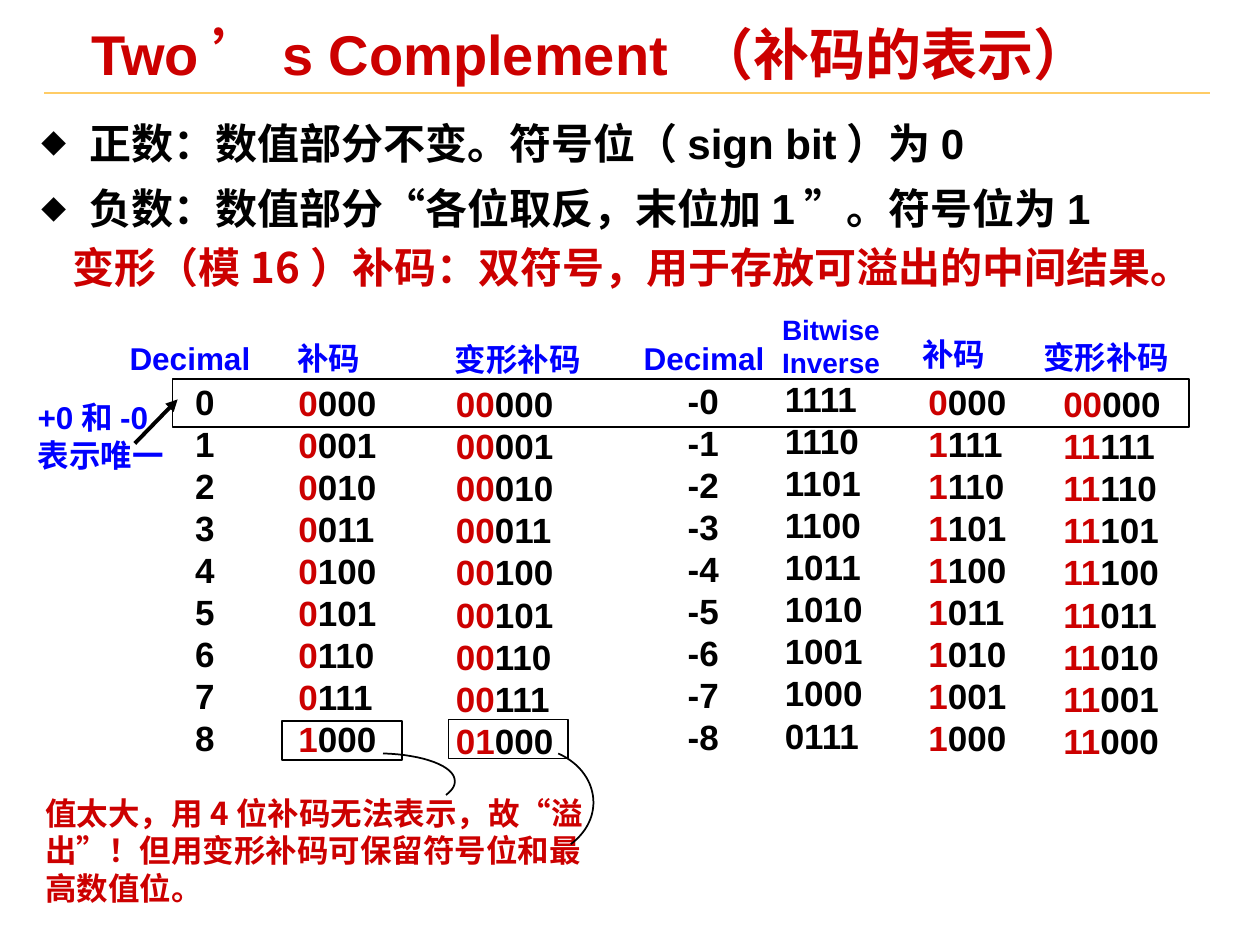
from dataclasses import dataclass

from lxml import etree
from pptx import Presentation
from pptx.dml.color import RGBColor
from pptx.enum.dml import MSO_LINE
from pptx.enum.shapes import MSO_CONNECTOR, MSO_SHAPE
from pptx.enum.text import MSO_ANCHOR, MSO_AUTO_SIZE, PP_ALIGN
from pptx.oxml.ns import qn
from pptx.util import Inches, Pt

STRAIGHT, RECTANGLE = MSO_CONNECTOR.STRAIGHT, MSO_SHAPE.RECTANGLE
SOLID, NO_FIT = MSO_LINE.SOLID, MSO_AUTO_SIZE.NONE
TOP, MIDDLE = MSO_ANCHOR.TOP, MSO_ANCHOR.MIDDLE
LEFT, CENTER = PP_ALIGN.LEFT, PP_ALIGN.CENTER

WIDTH, HEIGHT = Inches(10), Inches(7.5)
COLUMNS, ROWS = 100, 75
RED, BLUE, BLACK, GOLD = "CC0000", "0000FF", "000000", "FFCC66"
LATIN, CHINESE = "Arial", "Noto Sans CJK SC"
VALUES = range(9)
LINE_HEIGHT = 1.2


@dataclass
class Label:
    lines: list[str]
    box: tuple[float, float, float, float]
    size: int
    color: str
    font: str = LATIN
    align: PP_ALIGN = LEFT
    wrap: bool = True


@dataclass
class Column:
    heading: Label
    left: float
    top: float
    width: float
    codes: list[str]
    sign_digits: int = 0


def x(columns: float) -> int:
    return round(WIDTH * columns / COLUMNS)


def y(rows: float) -> int:
    return round(HEIGHT * rows / ROWS)


def place(box: tuple) -> tuple:
    left, top, width, height = box
    return x(left), y(top), x(width), y(height)


def rgb(color: str) -> RGBColor:
    return RGBColor.from_string(color)


def apply(target, formats: dict) -> None:
    for name, value in formats.items():
        setattr(target, name, value)


def add_run(paragraph, text: str, size: float, color: str, font: str = LATIN) -> None:
    run = paragraph.add_run()
    run.text = text
    apply(run.font, {"size": Pt(size), "bold": True, "name": font})
    run.font.color.rgb = rgb(color)
    etree.SubElement(run.font._element, qn("a:ea"), typeface=CHINESE)


def frame_of(shape, side: float, edge: float, anchor=TOP, wrap: bool = True):
    frame = shape.text_frame
    apply(frame, {
        "margin_left": x(side), "margin_right": x(side),
        "margin_top": y(edge), "margin_bottom": y(edge),
        "vertical_anchor": anchor, "word_wrap": wrap, "auto_size": NO_FIT,
    })
    return frame


def next_paragraph(frame, index: int):
    return frame.add_paragraph() if index else frame.paragraphs[0]


def add_label(slide, label: Label, sign_digits: int = 0) -> None:
    """Add a text box whose leading sign digits are red."""
    frame = frame_of(slide.shapes.add_textbox(*place(label.box)), 1, 0.5, wrap=label.wrap)
    for index, line in enumerate(label.lines):
        paragraph = next_paragraph(frame, index)
        apply(paragraph, {"alignment": label.align, "line_spacing": Pt(label.size * LINE_HEIGHT)})
        for text, color in ((line[:sign_digits], RED), (line[sign_digits:], label.color)):
            if text:
                add_run(paragraph, text, label.size, color, label.font)


def add_column(slide, column: Column) -> None:
    add_label(slide, column.heading)
    box = (column.left, column.top, column.width, 31)
    add_label(slide, Label(column.codes, box, 20, BLACK, wrap=False), column.sign_digits)


def style_line(line, color: str, width: float) -> None:
    apply(line, {"width": Pt(width), "dash_style": SOLID})
    line.color.rgb = rgb(color)


def add_frame(slide, box: tuple) -> None:
    shape = slide.shapes.add_shape(RECTANGLE, *place(box))
    shape.shadow.inherit = False
    shape.fill.background()
    style_line(shape.line, BLACK, 1)


def add_line(slide, start: tuple, end: tuple, color: str, width: float, arrow: bool = False) -> None:
    connector = slide.shapes.add_connector(STRAIGHT, x(start[0]), y(start[1]), x(end[0]), y(end[1]))
    style_line(connector.line, color, width)
    if arrow:
        etree.SubElement(connector.line._get_or_add_ln(), qn("a:tailEnd"), type="triangle")
    etree.SubElement(connector._element.spPr, qn("a:effectLst"))


def bezier(points: list, share: float) -> tuple:
    """Return the point at a share of the way along a Bézier curve."""
    while len(points) > 1:
        points = [tuple(a + (b - a) * share for a, b in zip(p, q))
                  for p, q in zip(points, points[1:])]
    return points[0]


def add_curve(slide, points: list, steps: int = 16) -> None:
    """Draw cubic segments that share their end points."""
    vertices = [bezier(points[first:first + 4], step / steps)
                for first in range(0, len(points) - 1, 3) for step in range(1, steps + 1)]
    builder = slide.shapes.build_freeform(x(points[0][0]), y(points[0][1]))
    builder.add_line_segments([(x(a), y(b)) for a, b in vertices], close=False)
    shape = builder.convert_to_shape()
    shape.shadow.inherit = False
    shape.fill.background()
    style_line(shape.line, BLACK, 1)


def fill_title(title) -> None:
    apply(title, dict(zip(("left", "top", "width", "height"), place((5.3, 2, 89.6, 5.2)))))
    frame = frame_of(title, 0.7, 0.3, MIDDLE)
    frame.margin_left = x(1.95)
    paragraph = frame.paragraphs[0]
    apply(paragraph, {"alignment": LEFT, "line_spacing": 0.87})
    add_run(paragraph, "Two’s Complement （补码的表示）", 32, RED)


def fill_rules(body) -> None:
    apply(body, dict(zip(("left", "top", "width", "height"), place((2.6, 8.2, 94, 10.6)))))
    frame = frame_of(body, 0.7, 0.3)
    rules = ["正数：数值部分不变。符号位（sign bit）为0",
             "负数：数值部分“各位取反，末位加1”。符号位为1"]
    for index, rule in enumerate(rules):
        paragraph = next_paragraph(frame, index)
        properties = paragraph._p.get_or_add_pPr()
        apply_indent = {"marL": str(x(3.8)), "indent": str(-x(3.8))}
        for name, value in apply_indent.items():
            properties.set(name, value)
        color = etree.SubElement(properties, qn("a:buClr"))
        etree.SubElement(color, qn("a:srgbClr"), val=BLACK)
        etree.SubElement(properties, qn("a:buSzPct"), val="60000")
        etree.SubElement(properties, qn("a:buFont"), typeface=CHINESE)
        etree.SubElement(properties, qn("a:buChar"), char="◆")
        apply(paragraph, {"line_spacing": 1.2, "space_before": Pt(3 if index else 0)})
        add_run(paragraph, rule, 24, BLACK)


def heading(text: str, left: float, top: float, width: float) -> Label:
    return Label([text], (left, top, width, 4), 18, BLUE, wrap=False)


def main() -> None:
    presentation = Presentation()
    apply(presentation, {"slide_width": WIDTH, "slide_height": HEIGHT})
    slide = presentation.slides.add_slide(presentation.slide_layouts[1])
    add_line(slide, (3.5, 7.4), (96, 7.4), GOLD, 1)
    fill_title(slide.shapes.title)
    fill_rules(slide.placeholders[1])

    inverse = Label(["Bitwise", "Inverse"], (60.4, 24.3, 11.1, 6.3), 16, BLUE, align=CENTER)
    columns = [
        Column(heading("Decimal", 9.3, 26.4, 13.3), 14.5, 29.7, 4.2, [f"{n}" for n in VALUES]),
        Column(heading("补码", 22.6, 26.4, 7), 22.7, 29.8, 8.2, [f"{n:04b}" for n in VALUES], 1),
        Column(heading("变形补码", 35.1, 26.5, 12), 35.2, 29.9, 10.5, [f"{n:05b}" for n in VALUES], 2),
        Column(heading("Decimal", 50.1, 26.4, 13.3), 53.6, 29.6, 7.2, [f"-{n}" for n in VALUES]),
        Column(inverse, 61.3, 29.5, 8.2, [f"{15 - n:04b}" for n in VALUES]),
        Column(heading("补码", 72.2, 26.1, 7), 72.7, 29.7, 8.2, [f"{-n % 16:04b}" for n in VALUES], 1),
        Column(heading("变形补码", 81.8, 26.3, 12), 83.4, 29.9, 11.5, [f"{-n % 32:05b}" for n in VALUES], 2),
    ]
    for column in columns:
        add_column(slide, column)

    notes = [
        Label(["变形（模16）补码：双符号，用于存放可溢出的中间结果。"], (4.8, 18.7, 91.4, 5), 24, RED, CHINESE),
        Label(["+0和-0表示唯一"], (2, 31.1, 12.1, 7), 18, BLUE),
        Label(["值太大，用4位补码无法表示，故“溢出”！但用变形补码可保留符号位和最高数值位。"],
              (2.6, 62.5, 44.9, 10), 18, RED, CHINESE),
    ]
    for note in notes:
        add_label(slide, note)

    for box in ((13.7, 30.1, 80.7, 3.8), (22.4, 57.2, 9.5, 3.1), (35.6, 57.1, 9.5, 3.1)):
        add_frame(slide, box)
    add_line(slide, (10.7, 35.2), (14.1, 31.7), BLACK, 2.25, arrow=True)
    add_curve(slide, [(30.4, 59.8), (33.6, 59.9), (36.1, 60.8), (36.1, 62),
                      (36.1, 62.4), (35.9, 62.7), (35.4, 63.1)])
    add_curve(slide, [(44.3, 59.8), (46.1, 60.6), (47.1, 62.1), (47.1, 63.7),
                      (47.1, 64.9), (46.5, 66.1), (45.3, 67)])
    presentation.save("out.pptx")


if __name__ == "__main__":
    main()
